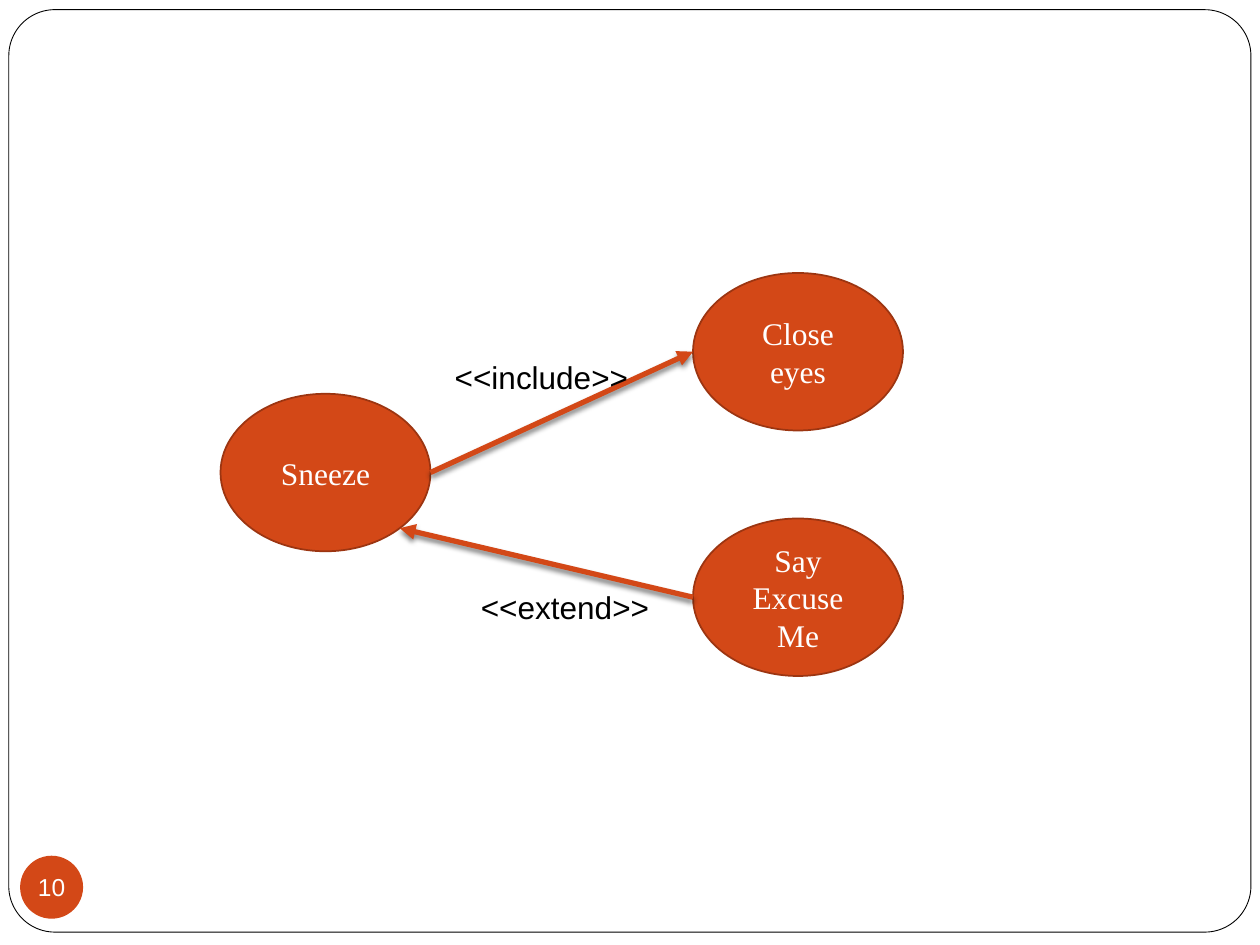
from math import sqrt
from lxml import etree
from pptx import Presentation, util as u
from pptx.dml.color import RGBColor
from pptx.enum import shapes as sh, text as tx
from pptx.oxml import parse_xml
from pptx.oxml.ns import nsdecls, qn

HUES = {"paper": "FFFFFF", "ink": "000000", "node": "D34817", "edge": "9C3511"}
CELL = u.Inches(1) / 12  # the slide is a grid of 120 columns by 90 rows
NODE = (20, 15)  # columns and rows of one use case


def hue(name):
    return RGBColor.from_string(HUES[name])


def cells(*nums):
    return [round(n * CELL) for n in nums]


def write(shape, words, size=18, font="Times New Roman", color="paper",
          align="CENTER", anchor="MIDDLE", wrap=True, inset=None):
    frame = shape.text_frame
    frame.word_wrap = wrap
    frame.vertical_anchor = getattr(tx.MSO_ANCHOR, anchor)
    if inset is not None:
        frame.margin_left = frame.margin_right = inset
        frame.margin_top = frame.margin_bottom = inset
    para = frame.paragraphs[0]
    para.alignment = getattr(tx.PP_ALIGN, align)
    para._p.get_or_add_pPr().set("rtl", "1")  # right-to-left paragraph
    run = para.add_run()
    run.text = words
    run.font.size, run.font.name = u.Pt(size), font
    run.font.color.rgb = hue(color)
    # Digits and signs of a right-to-left line take the complex-script font
    etree.SubElement(run._r.get_or_add_rPr(), qn("a:cs"), typeface="Arial")


def draw(slide, kind, box, fill, line=None, width=1):
    shape = slide.shapes.add_shape(kind, *cells(*box))
    shape.shadow.inherit = False
    shape.fill.solid()
    shape.fill.fore_color.rgb = hue(fill)
    if line:
        shape.line.color.rgb = hue(line)
        shape.line.width = u.Pt(width)
    else:
        shape.line.fill.background()
    return shape


def arrow(slide, start, end):
    line = slide.shapes.add_connector(
        sh.MSO_CONNECTOR.STRAIGHT, *cells(*start, *end))
    line.line.color.rgb = hue("node")
    line.line.width = u.Pt(3)
    etree.SubElement(line.line._get_or_add_ln(), qn("a:tailEnd"), type="triangle")
    # Soft shadow straight below
    line._element.spPr.append(parse_xml(
        f'<a:effectLst {nsdecls("a")}><a:outerShdw blurRad="{u.Pt(3)}" '
        f'dist="{u.Pt(2)}" dir="5400000" rotWithShape="0">'
        f'<a:srgbClr val="{HUES["ink"]}"><a:alpha val="50000"/></a:srgbClr>'
        '</a:outerShdw></a:effectLst>'))


def label(slide, words, left, top):
    box = slide.shapes.add_textbox(*cells(left, top, 19, 4.85))
    write(box, words, font="Arial", color="ink", align="RIGHT", anchor="TOP")


def case(slide, words, left, top):
    shape = draw(slide, sh.MSO_SHAPE.OVAL, (left, top, *NODE), "node", "edge")
    write(shape, words)


def frame(slide, left, top, wide, high):
    # Rounded border
    edge = draw(slide, sh.MSO_SHAPE.ROUNDED_RECTANGLE,
                (left, top, wide, high), "paper", "ink", 0.5)
    edge.adjustments[0] = 0.05
    # Page number
    badge = draw(slide, sh.MSO_SHAPE.OVAL,
                 (left + 1.08, top + high - 7.27, 6, 6), "node")
    write(badge, "10", size=14, font="Lato", wrap=False, inset=0)


def diagram(slide, left, top, wide, high):
    across, down = NODE
    far = left + wide - across
    low = top + high - down
    mid = top + 11.5
    # Use cases
    case(slide, "Sneeze", left, mid)
    case(slide, "Say Excuse Me", far, low)
    case(slide, "Close eyes", far, top)
    # Extend: ends on the lower right diagonal of the first case
    diag = (1 + 1 / sqrt(2)) / 2
    arrow(slide, (far, low + down / 2), (left + across * diag, mid + down * diag))
    label(slide, "<<extend>>", left + 23, low + 6)
    # Include
    arrow(slide, (left + across, mid + down / 2), (far, top + down / 2))
    label(slide, "<<include>>", left + 21, top + 7.55)


def main():
    deck = Presentation()
    deck.slide_width, deck.slide_height = cells(120, 90)
    slide = deck.slides.add_slide(deck.slide_layouts[6])
    frame(slide, 0.84, 0.92, 118.3, 87.85)
    diagram(slide, 21, 26, 65, 38.38)
    deck.save("out.pptx")


if __name__ == "__main__":
    main()
